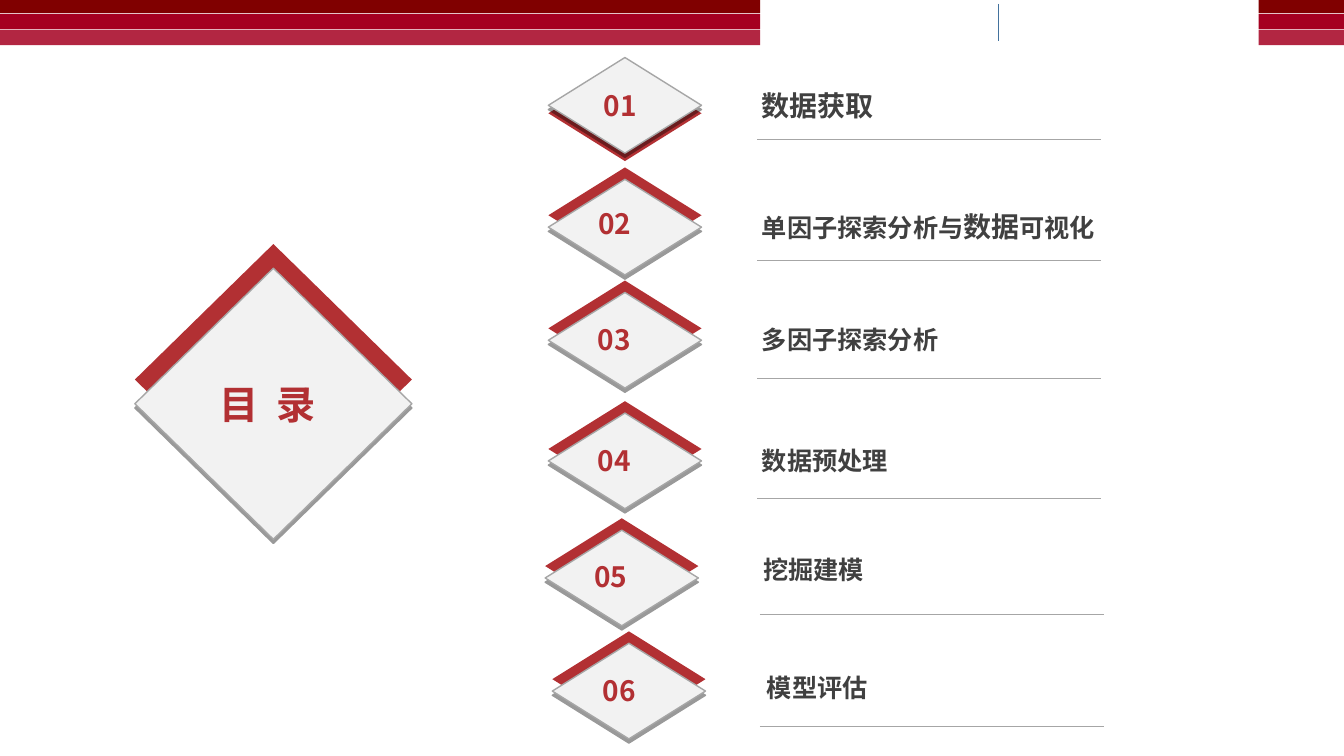
from lxml import etree
from pptx import Presentation
from pptx.dml.color import RGBColor
from pptx.enum.shapes import MSO_CONNECTOR, MSO_SHAPE
from pptx.enum.text import MSO_ANCHOR, PP_ALIGN
from pptx.oxml.ns import qn
from pptx.util import Cm, Pt

DIAMOND = MSO_SHAPE.FLOWCHART_DECISION
RECTANGLE = MSO_SHAPE.RECTANGLE
STRAIGHT = MSO_CONNECTOR.STRAIGHT
MIDDLE = MSO_ANCHOR.MIDDLE
LEFT = PP_ALIGN.LEFT

FONT = "Noto Sans CJK SC"
COLORS = {
    "dark": "800000", "crimson": "A50021", "rose": "B22642",
    "accent": "B23033", "face": "F2F2F2", "edge": "A6A6A6",
    "label": "404040", "divider": "43729D", "shadow": "000000",
}

# Banner: top, height, colour; then left and width of its two parts
BANDS = [(0, 0.33, "dark"), (0.35, 0.38, "crimson"), (0.75, 0.39, "rose")]
BANNER_PARTS = [(0, 19.16), (31.72, 2.15)]

# Sizes in centimetres
ENTRY_SIZE = (3.86, 2.41)
TITLE_SIZE = (6.98, 6.83)
RULE_LENGTH = 8.66

# Diamond corner, accent offset, number corner, label corner, rule start, label runs
ENTRIES = [
    ((13.82, 1.45), 0.2, (14.96, 2.18), (19.02, 2.26), (19.08, 3.51),
     [("数据获取", 20)]),
    ((13.82, 4.52), -0.3, (14.83, 5.16), (19.02, 5.31), (19.08, 6.55),
     [("单因子探索分析与", 18), ("数据", 20), ("可视化", 18)]),
    ((13.82, 7.37), -0.3, (14.81, 8.08), (19.02, 8.15), (19.08, 9.53),
     [("多因子探索分析", 18)]),
    ((13.82, 10.41), -0.3, (14.81, 11.13), (19.02, 11.2), (19.08, 12.57),
     [("数据预处理", 18)]),
    ((13.74, 13.36), -0.3, (14.73, 14.05), (19.05, 13.94), (19.15, 15.47),
     [("挖掘建模", 18)]),
    ((13.92, 16.21), -0.3, (14.94, 16.92), (19.15, 16.92), (19.15, 18.31),
     [("模型评估", 18)]),
]


def rgb(name):
    return RGBColor.from_string(COLORS[name])


def add_block(slide, kind, left, top, width, height, fill):
    shape = slide.shapes.add_shape(kind, Cm(left), Cm(top), Cm(width), Cm(height))
    shape.shadow.inherit = False
    shape.fill.solid()
    shape.fill.fore_color.rgb = rgb(fill)
    shape.line.fill.background()
    return shape


def add_drop_shadow(shape):
    effects = shape._element.spPr.find(qn("a:effectLst"))
    shadow = etree.SubElement(effects, qn("a:outerShdw"), blurRad="0",
                              dist=str(Pt(3)), dir="5400000", algn="t", rotWithShape="0")
    color = etree.SubElement(shadow, qn("a:srgbClr"), val=COLORS["shadow"])
    etree.SubElement(color, qn("a:alpha"), val="40000")


def add_diamond(slide, corner, size, accent_offset):
    left, top = corner
    add_block(slide, DIAMOND, left, top + accent_offset, *size, "accent")
    face = add_block(slide, DIAMOND, left, top, *size, "face")
    face.line.color.rgb = rgb("edge")
    face.line.width = Pt(1)
    add_drop_shadow(face)


def add_line(slide, start, end, color, width):
    ends = [Cm(value) for value in (*start, *end)]
    connector = slide.shapes.add_connector(STRAIGHT, *ends)
    connector.line.color.rgb = rgb(color)
    connector.line.width = Pt(width)
    etree.SubElement(connector._element.spPr, qn("a:effectLst"))


def format_run(run, size, color):
    run.font.size = Pt(size)
    run.font.bold = True
    run.font.name = FONT
    run.font.color.rgb = rgb(color)
    etree.SubElement(run.font._element, qn("a:ea"), typeface=FONT)


def set_frame(text_frame, inset_x, inset_y):
    text_frame.word_wrap = True
    text_frame.vertical_anchor = MIDDLE
    text_frame.margin_left = text_frame.margin_right = Cm(inset_x)
    text_frame.margin_top = text_frame.margin_bottom = Cm(inset_y)


def add_text(slide, corner, size, insets, runs, color):
    left, top = corner
    width, height = size
    box = slide.shapes.add_textbox(Cm(left), Cm(top), Cm(width), Cm(height))
    set_frame(box.text_frame, *insets)
    paragraph = box.text_frame.paragraphs[0]
    for text, points in runs:
        run = paragraph.add_run()
        run.text = text
        format_run(run, points, color)


def place_title(slide):
    title = slide.shapes.title
    title.left, title.top, title.width, title.height = Cm(5.36), Cm(9.47), Cm(4.22), Cm(1.4)
    title.text_frame.text = "目 录"
    set_frame(title.text_frame, 0.18, 0.1)
    paragraph = title.text_frame.paragraphs[0]
    paragraph.alignment = LEFT
    run = paragraph.runs[0]
    format_run(run, 28, "accent")
    run.font._element.set("spc", "300")
    # Bring the title in front of its diamond
    slide.shapes._spTree.append(title._element)


def add_entry(slide, number, entry):
    diamond, accent_offset, number_corner, label_corner, rule_start, label = entry
    add_diamond(slide, diamond, ENTRY_SIZE, accent_offset)
    add_text(slide, number_corner, (2, 0.94), (0.25, 0.13), [(f"{number:02d}", 20)], "accent")
    add_text(slide, label_corner, (9.6, 0.81), (0.18, 0.1), label, "label")
    rule_left, rule_top = rule_start
    add_line(slide, rule_start, (rule_left + RULE_LENGTH, rule_top), "edge", 0.5)


def main():
    presentation = Presentation()
    presentation.slide_width, presentation.slide_height = Cm(33.87), Cm(19.05)
    slide = presentation.slides.add_slide(presentation.slide_layouts[5])

    # Banner
    for left, width in BANNER_PARTS:
        for top, height, color in BANDS:
            add_block(slide, RECTANGLE, left, top, width, height, color)
    add_line(slide, (25.17, 0.1), (25.17, 1.04), "divider", 1)

    # Title
    add_diamond(slide, (3.4, 6.76), TITLE_SIZE, -0.61)
    place_title(slide)

    # Contents
    for number, entry in enumerate(ENTRIES, start=1):
        add_entry(slide, number, entry)

    presentation.save("out.pptx")


if __name__ == "__main__":
    main()
